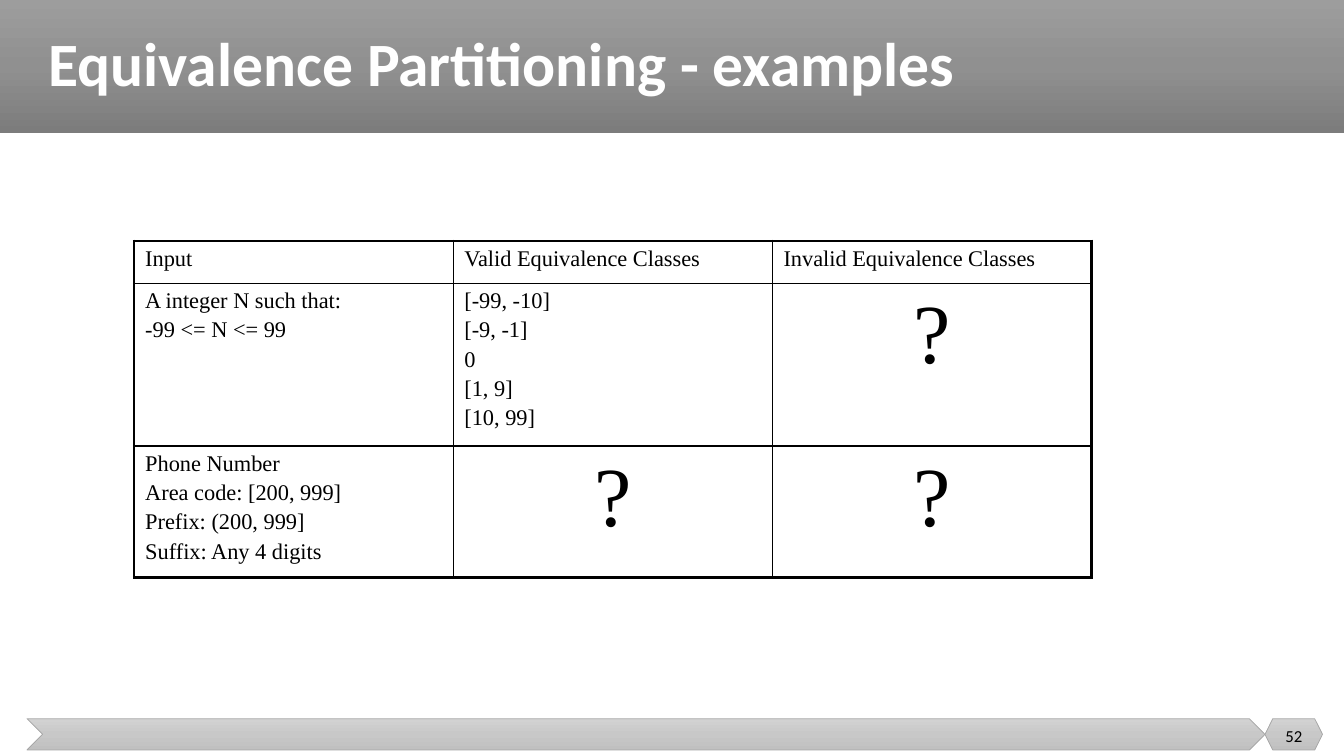
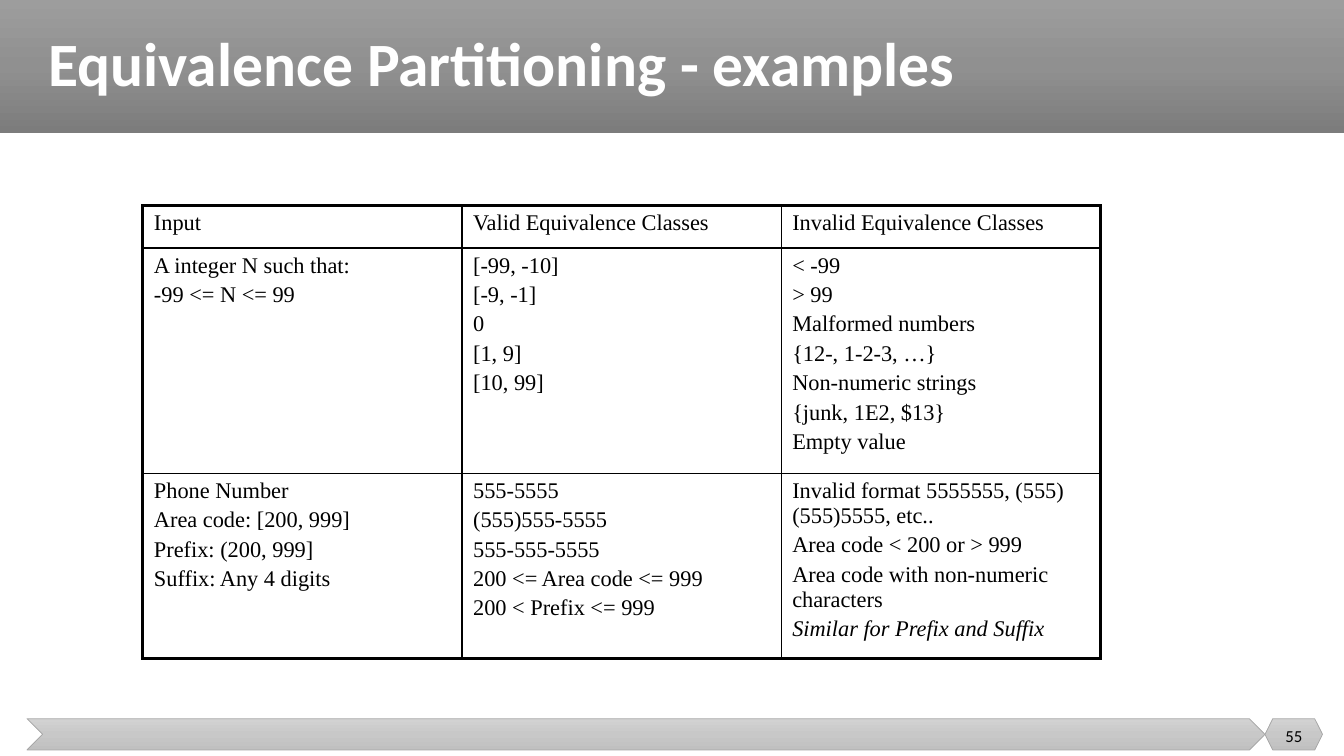
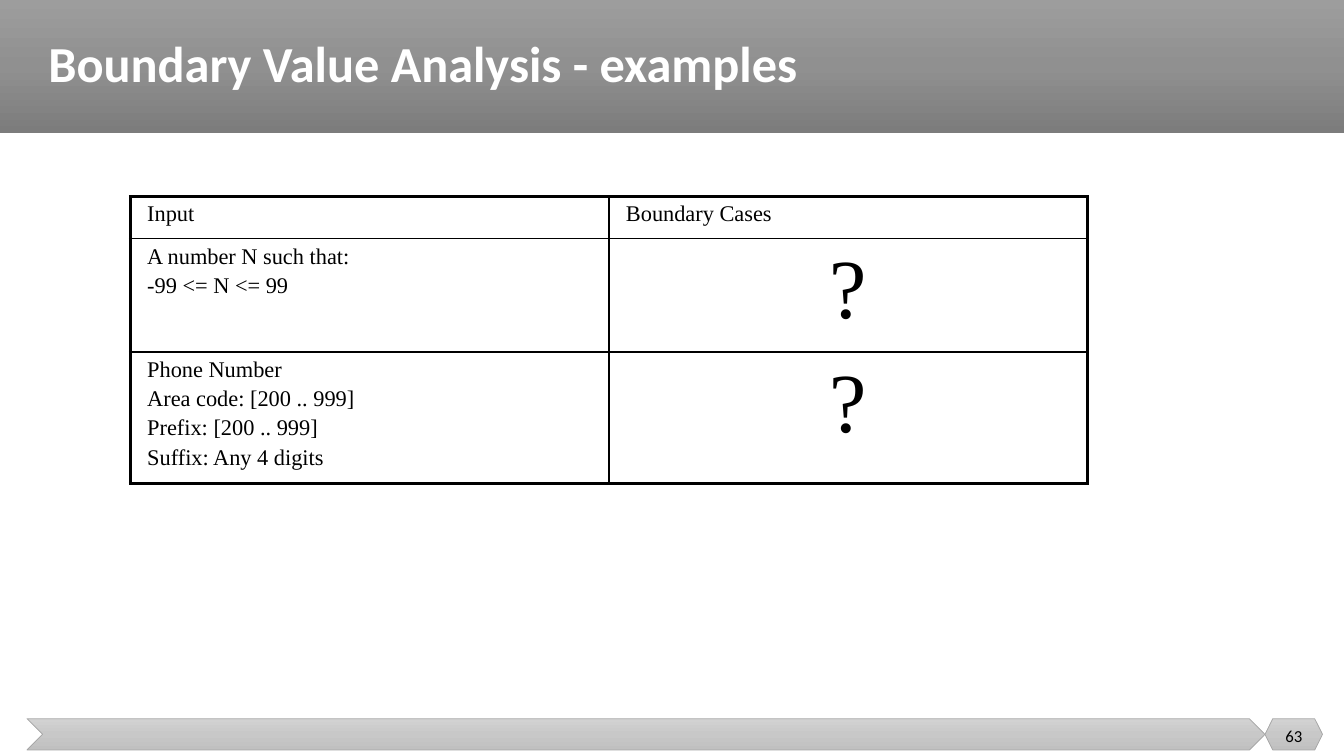
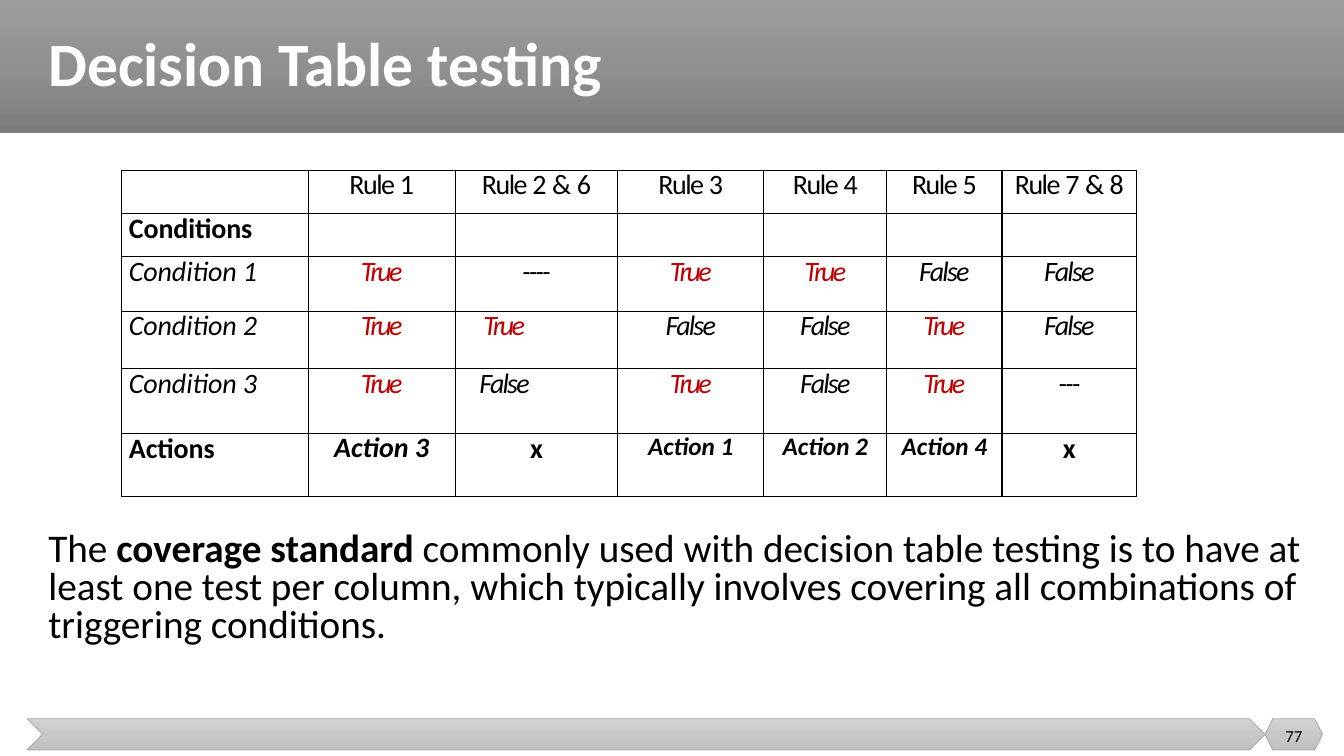
from copy import deepcopy
from itertools import product

from lxml import etree
from pptx import Presentation
from pptx.dml.color import RGBColor
from pptx.enum.shapes import MSO_SHAPE
from pptx.enum.text import MSO_ANCHOR, PP_ALIGN
from pptx.oxml.ns import qn
from pptx.util import Cm, Pt

RECT, CHEVRON, HEXAGON = MSO_SHAPE.RECTANGLE, MSO_SHAPE.CHEVRON, MSO_SHAPE.HEXAGON
MIDDLE = MSO_ANCHOR.MIDDLE
LEFT, CENTER = PP_ALIGN.LEFT, PP_ALIGN.CENTER

COLORS = {"ink": "000000", "title": "FFFFFF", "true": "C00000", "edge": "A5A5A5"}
BAND = ("9D9D9D", "909090", "7C7C7C")
FOOT = ("D2D2D2", "C8C8C8", "C0C0C0")
SANS, SERIF = "Calibri", "Times New Roman"

# Content
HEADS = ["Input", "Valid Equivalence Classes", "Invalid Equivalence Classes"]
NUMBER = "A integer N such that:\n-99 <= N <= 99"
RANGES = "[-99, -10]\n[-9, -1]\n0\n[1, 9]\n[10, 99]"
PHONE = "Phone Number\nArea code: [200, 999]\nPrefix: (200, 999]\nSuffix: Any 4 digits"
SIMILAR = "Similar for Prefix and Suffix"

# Class tables: place, row heights and side inset in cm
CLASSES = [
    {"title": "Equivalence Partitioning - examples", "size": 44, "page": 52,
     "at": (3.38, 6.07), "rows": (1.07, 3.84, 3.25), "inset": 0.28,
     "cells": [HEADS, [NUMBER, RANGES, "?"], [PHONE, "?", "?"]]},
    {"title": "Equivalence Partitioning - examples", "size": 44, "page": 55,
     "at": (3.6, 5.18), "rows": (1.07, 5.33, 4.37), "inset": 0.28,
     "cells": [
         HEADS,
         [NUMBER, RANGES,
          "< -99\n> 99\nMalformed numbers\n{12-, 1-2-3, …}\n"
          "Non-numeric strings\n{junk, 1E2, $13}\nEmpty value"],
         [PHONE,
          "555-5555\n(555)555-5555\n555-555-5555\n"
          "200 <= Area code <= 999\n200 < Prefix <= 999",
          "Invalid format 5555555, (555)(555)5555, etc..\n"
          "Area code < 200 or > 999\n"
          "Area code with non-numeric characters\n" + SIMILAR]]},
    {"title": "Boundary Value Analysis - examples", "size": 36, "page": 63,
     "at": (3.28, 4.95), "rows": (1.07, 2.85, 3.1), "inset": 0.43,
     "cells": [
         ["Input", "Boundary Cases"],
         ["A number N such that:\n-99 <= N <= 99", "?"],
         ["Phone Number\nArea code: [200 .. 999]\nPrefix: [200 .. 999]\n"
          "Suffix: Any 4 digits", "?"]]},
]
CLASS_W = 24.13

RULES = [
    ["", "Rule 1", "Rule 2 & 6", "Rule 3", "Rule 4", "Rule 5", "Rule 7 & 8"],
    ["Conditions", "", "", "", "", "", ""],
    ["Condition 1", "True", "----", "True", "True", "False", "False"],
    ["Condition 2", "True", "True", "False", "False", "True", "False"],
    ["Condition 3", "True", "False", "True", "False", "True", "---"],
    ["Actions", "Action 3", "x", "Action 1", "Action 2", "Action 4", "x"],
]
RULE_COLS = (4.7, 3.7, 4.1, 3.68, 3.1, 2.9, 3.4)
RULE_ROWS = (1.09, 1.09, 1.37, 1.45, 1.63, 1.6)
INDENTS = {(3, 2): 0.71, (4, 2): 0.61}
# First word of a cell: bold, italic, letter spacing, line height
LOOKS = {
    "Rule": (False, False, -0.3, 22.8),
    "Conditions": (True, False, -0.1, 23.4),
    "Actions": (True, False, -0.1, 23.4),
    "Condition": (False, True, -0.1, 22.8),
    "True": (False, True, -1.9, 22.8),
    "False": (False, True, -1.3, 22.8),
    "----": (False, True, -1.4, 22.8),
    "---": (False, True, -1.3, 22.8),
    "Action": (True, True, 0, 22.8),
    "x": (True, False, 0, 23.5),
}
SMALL = {"Action 1", "Action 2", "Action 4"}
COVERAGE = [
    ("The ", False), ("coverage standard ", True),
    ("commonly used with decision table testing is to have at least one test per "
     "column, which typically involves covering all combinations of triggering "
     "conditions.", False)]


def style(run, size, face=SANS, color="ink", bold=False, italic=False, gap=0):
    font = run.font
    font.size, font.name, font.bold, font.italic = Pt(size), face, bold, italic
    font.color.rgb = RGBColor.from_string(COLORS[color])
    if gap:
        run._r.get_or_add_rPr().set("spc", str(round(gap * 100)))


def add_bar(slide, kind, box, shades, edge=None):
    bar = slide.shapes.add_shape(kind, *map(Cm, box))
    bar.shadow.inherit = False
    fill = bar.fill
    fill.gradient()
    fill.gradient_angle = 270
    stops = bar._element.spPr.find(".//" + qn("a:gsLst"))
    stops.insert(1, deepcopy(stops[0]))
    for stop, place, shade in zip(fill.gradient_stops, (0, 0.5, 1), shades):
        stop.position = place
        stop.color.rgb = RGBColor.from_string(shade)
    if edge:
        bar.line.color.rgb = RGBColor.from_string(COLORS[edge])
        bar.line.width = Pt(0.5)
    else:
        bar.line.fill.background()


def add_text(slide, box, parts, size, color="ink", spacing=1.0, align=LEFT, anchor=None):
    frame = slide.shapes.add_textbox(*map(Cm, box)).text_frame
    frame.word_wrap = True
    frame.vertical_anchor = anchor
    para = frame.paragraphs[0]
    para.alignment, para.line_spacing = align, spacing
    for text, bold in parts:
        run = para.add_run()
        run.text = text
        style(run, size, color=color, bold=bold)


def add_page(deck, title, size, page):
    slide = deck.slides.add_slide(deck.slide_layouts[6])
    add_bar(slide, RECT, (0, 0, 33.87, 3.35), BAND)
    add_bar(slide, CHEVRON, (0.68, 18.11, 31.2, 0.79), FOOT, "edge")
    add_bar(slide, HEXAGON, (31.88, 18.11, 1.45, 0.79), FOOT, "edge")
    add_text(slide, (0.97, 0, 32.36, 3.35), [(title, True)], size, "title", 0.9,
             anchor=MIDDLE)
    add_text(slide, (31.88, 18.03, 1.45, 1.02), [(str(page), False)], 12,
             align=CENTER, anchor=MIDDLE)
    return slide


def set_edges(cell, widths):
    props = cell._tc.get_or_add_tcPr()
    for spot, (side, width) in enumerate(zip("LRTB", widths)):
        line = etree.Element(qn("a:ln" + side), w=str(Pt(width)))
        fill = etree.SubElement(line, qn("a:solidFill"))
        etree.SubElement(fill, qn("a:srgbClr"), val=COLORS["ink"])
        props.insert(spot, line)


def add_grid(slide, at, cols, rows, outer, inset=(0, 0)):
    box = (*at, sum(cols), sum(rows))
    table = slide.shapes.add_table(len(rows), len(cols), *map(Cm, box)).table
    table.first_row = table.horz_banding = False
    for col, width in zip(table.columns, cols):
        col.width = Cm(width)
    for row, height in zip(table.rows, rows):
        row.height = Cm(height)
    for r, c in product(range(len(rows)), range(len(cols))):
        cell = table.cell(r, c)
        cell.margin_left = cell.margin_right = Cm(inset[0])
        cell.margin_top = cell.margin_bottom = Cm(inset[1])
        cell.fill.background()
        rims = (c == 0, c == len(cols) - 1, r == 0, r == len(rows) - 1)
        set_edges(cell, [outer if rim else 1 for rim in rims])
    return table


def fill_class(cell, text):
    cell.text_frame.text = text
    for spot, para in enumerate(cell.text_frame.paragraphs):
        if spot:
            para.space_before = Pt(3.2)
        para.alignment = CENTER if text == "?" else LEFT
        for run in para.runs:
            style(run, 60 if text == "?" else 16, SERIF, italic=run.text == SIMILAR)


def fill_rule(cell, text, row, col):
    word = text.split()[0]
    bold, italic, gap, height = LOOKS[word]
    size = 18 if text in SMALL else 20
    para = cell.text_frame.paragraphs[0]
    para.line_spacing = Pt(20.5 if text in SMALL else height)
    indent = INDENTS.get((row, col), 0 if col else 0.18)
    para.alignment = LEFT if indent else CENTER
    para._p.get_or_add_pPr().set("marL", str(Cm(indent)))
    parts = [("Rule ", -1.1), (text[5:], gap)] if word == "Rule" else [(text, gap)]
    for part, space in parts:
        run = para.add_run()
        run.text = part
        style(run, size, color="true" if word == "True" else "ink",
              bold=bold, italic=italic, gap=space)


def main():
    deck = Presentation()
    deck.slide_width, deck.slide_height = Cm(33.87), Cm(19.05)

    # Class tables
    for item in CLASSES:
        slide = add_page(deck, item["title"], item["size"], item["page"])
        count = len(item["cells"][0])
        table = add_grid(slide, item["at"], [CLASS_W / count] * count, item["rows"],
                         2.25, (item["inset"], 0.13))
        for r, row in enumerate(item["cells"]):
            for c, text in enumerate(row):
                fill_class(table.cell(r, c), text)

    # Decision table
    slide = add_page(deck, "Decision Table testing", 44, 77)
    add_text(slide, (0.97, 13.3, 32.36, 3.8), COVERAGE, 28, spacing=0.8)
    table = add_grid(slide, (3.07, 4.29), RULE_COLS, RULE_ROWS, 1)
    for r, row in enumerate(RULES):
        for c, text in enumerate(row):
            if text:
                fill_rule(table.cell(r, c), text, r, c)

    deck.save("out.pptx")


if __name__ == "__main__":
    main()
